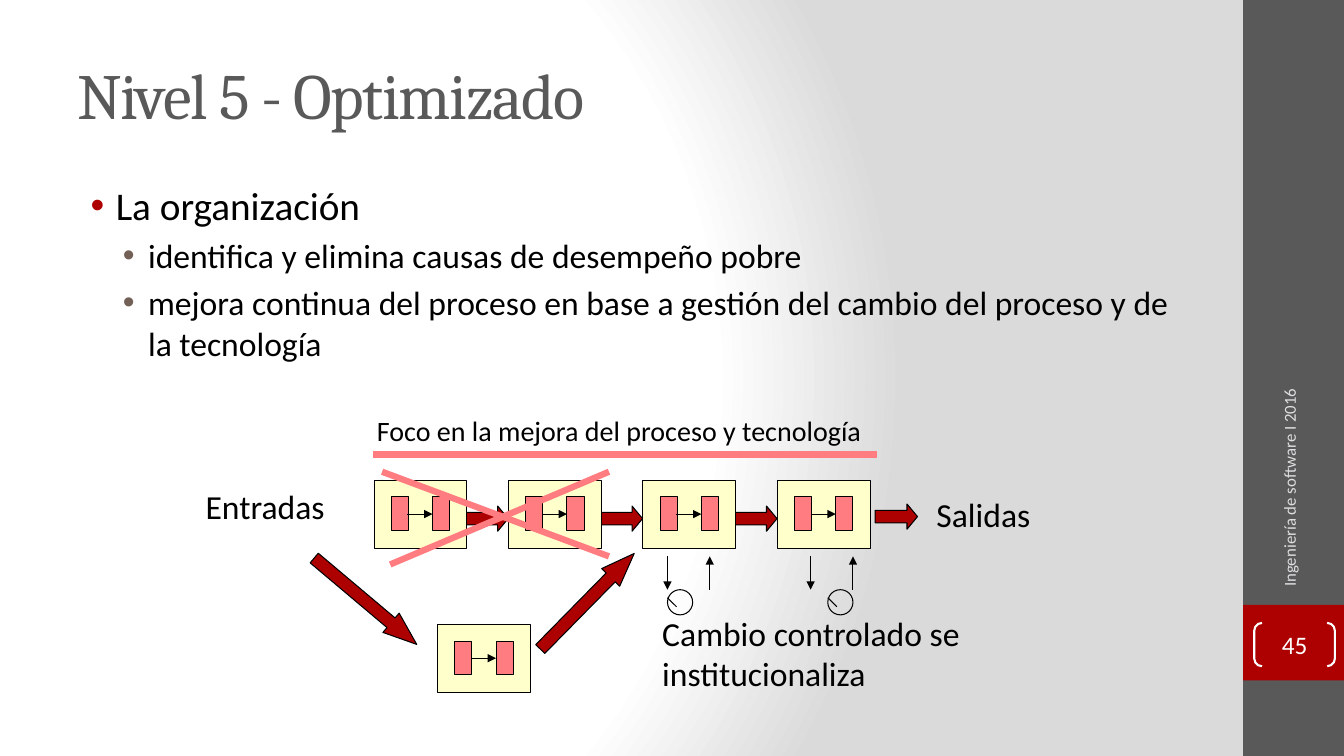
from dataclasses import dataclass

from lxml import etree
from pptx import Presentation
from pptx.dml.color import RGBColor
from pptx.enum.shapes import MSO_CONNECTOR, MSO_SHAPE
from pptx.enum.text import MSO_ANCHOR, PP_ALIGN
from pptx.oxml import parse_xml
from pptx.oxml.ns import nsdecls, qn
from pptx.util import Inches, Pt

RECTANGLE = MSO_SHAPE.RECTANGLE
RIGHT_ARROW = MSO_SHAPE.RIGHT_ARROW
OVAL = MSO_SHAPE.OVAL
BRACKETS = MSO_SHAPE.DOUBLE_BRACKET
STRAIGHT = MSO_CONNECTOR.STRAIGHT
TOP, MIDDLE = MSO_ANCHOR.TOP, MSO_ANCHOR.MIDDLE
LEFT, CENTER = PP_ALIGN.LEFT, PP_ALIGN.CENTER


@dataclass(frozen=True)
class Theme:
    heading_font: str = "Cambria"
    body_font: str = "Calibri"
    white: str = "FFFFFF"
    shade: str = "DADADA"
    black: str = "000000"
    gray: str = "595959"
    red: str = "AD0101"
    brown: str = "726056"
    pink: str = "FF7C80"
    cream: str = "FFFFCC"
    footer: str = "DEDEE0"
    title_size: int = 46
    body_size: int = 28
    label_size: int = 24
    focus_size: int = 20
    number_size: int = 18
    footer_size: int = 12
    thin: float = 0.75
    bracket: float = 1.5
    thick: float = 4.5


def write_text(paragraph, text, *, size, color, font, align=LEFT, before=0,
               bullet_color=None, indent=0, spacing=0):
    if bullet_color:
        properties = paragraph._p.get_or_add_pPr()
        properties.set("marL", str(Inches(indent)))
        properties.set("indent", str(Inches(-0.25)))
        bullet = etree.SubElement(properties, qn("a:buClr"))
        etree.SubElement(bullet, qn("a:srgbClr"), val=bullet_color)
        etree.SubElement(properties, qn("a:buFont"), typeface="Arial")
        etree.SubElement(properties, qn("a:buChar"), char="•")
    paragraph.alignment = align
    if before:
        paragraph.space_before = Pt(before)
    run = paragraph.add_run()
    run.text = text
    run.font.size = Pt(size)
    run.font.name = font
    run.font.color.rgb = RGBColor.from_string(color)
    if spacing:
        run._r.get_or_add_rPr().set("spc", str(spacing * 100))


class SlideBuilder:
    def __init__(self, slide, theme):
        self.slide = slide
        self.theme = theme

    def background(self):
        """Fill the slide with a circular gradient centred on the left side."""
        theme = self.theme
        stops = "".join(
            f'<a:gs pos="{position * 1000}"><a:srgbClr val="{color}"/></a:gs>'
            for position, color in ((0, theme.white), (75, theme.white), (100, theme.shade)))
        self.slide._element.cSld.insert(0, parse_xml(
            f'<p:bg {nsdecls("p", "a")}><p:bgPr><a:gradFill rotWithShape="1">'
            f'<a:gsLst>{stops}</a:gsLst><a:path path="circle">'
            '<a:fillToRect l="20000" t="50000" r="100000" b="50000"/></a:path>'
            '</a:gradFill><a:effectLst/></p:bgPr></p:bg>'))

    def group(self):
        return self.slide.shapes.add_group_shape().shapes

    def shape(self, kind, left, top, width, height, *, fill=None, line=None,
              weight=None, adjustments=(), rotation=0, shapes=None):
        shapes = shapes or self.slide.shapes
        shape = shapes.add_shape(kind, Inches(left), Inches(top), Inches(width), Inches(height))
        shape.shadow.inherit = False
        shape.rotation = rotation
        for index, value in enumerate(adjustments):
            shape.adjustments[index] = value
        if fill:
            shape.fill.solid()
            shape.fill.fore_color.rgb = RGBColor.from_string(fill)
        else:
            shape.fill.background()
        if line:
            shape.line.color.rgb = RGBColor.from_string(line)
            shape.line.width = Pt(weight or self.theme.thin)
        else:
            shape.line.fill.background()
        return shape

    def line(self, start, end, *, color=None, weight=None, arrow=False, shapes=None):
        shapes = shapes or self.slide.shapes
        points = [Inches(value) for value in (*start, *end)]
        connector = shapes.add_connector(STRAIGHT, *points)
        connector.line.color.rgb = RGBColor.from_string(color or self.theme.black)
        connector.line.width = Pt(weight or self.theme.thin)
        if arrow:
            etree.SubElement(connector.line._get_or_add_ln(), qn("a:tailEnd"), type="triangle")
        etree.SubElement(connector._element.spPr, qn("a:effectLst"))

    def text(self, left, top, width, height, paragraphs, *, anchor=TOP, rotation=0):
        """Add a text box from (text, format) pairs."""
        box = self.slide.shapes.add_textbox(
            Inches(left), Inches(top), Inches(width), Inches(height))
        box.rotation = rotation
        frame = box.text_frame
        frame.word_wrap = True
        frame.vertical_anchor = anchor
        for index, (text, options) in enumerate(paragraphs):
            paragraph = frame.add_paragraph() if index else frame.paragraphs[0]
            write_text(paragraph, text, **options)

    def label(self, left, top, width, height, text, size=None):
        options = dict(size=size or self.theme.label_size, color=self.theme.black,
                       font=self.theme.body_font)
        self.text(left, top, width, height, [(text, options)])

    def block_arrow(self, left, top, width=0.42, head=0.417, rotation=0):
        self.shape(RIGHT_ARROW, left, top, width, 0.25, fill=self.theme.red,
                   line=self.theme.black, adjustments=(0.5, head), rotation=rotation)

    def process(self, left, top):
        """Draw one process: a box with two linked steps."""
        theme, shapes = self.theme, self.group()
        self.shape(RECTANGLE, left, top, 0.92, 0.67, fill=theme.cream,
                   line=theme.black, shapes=shapes)
        for offset in (0.58, 0.17):
            self.shape(RECTANGLE, left + offset, top + 0.16, 0.17, 0.33, fill=theme.pink,
                       line=theme.black, shapes=shapes)
        self.line((left + 0.33, top + 0.33), (left + 0.58, top + 0.33),
                  arrow=True, shapes=shapes)

    def dial(self, left, top):
        shapes = self.group()
        self.shape(OVAL, left, top, 0.25, 0.25, line=self.theme.black, shapes=shapes)
        self.line((left, top + 0.08), (left + 0.09, top + 0.17), shapes=shapes)

    def feedback(self, left, top, bottom):
        """Draw a down arrow and an up arrow side by side."""
        shapes = self.group()
        self.line((left, top), (left, bottom), arrow=True, shapes=shapes)
        self.line((left + 0.42, bottom), (left + 0.42, top), arrow=True, shapes=shapes)


def main():
    theme = Theme()
    presentation = Presentation()
    presentation.slide_width, presentation.slide_height = Inches(13.33), Inches(7.5)
    builder = SlideBuilder(presentation.slides.add_slide(presentation.slide_layouts[6]), theme)

    builder.background()
    builder.shape(RECTANGLE, 12.33, 0, 1, 7.5, fill=theme.gray)
    builder.shape(RECTANGLE, 12.33, 6, 1, 0.75, fill=theme.red)

    title = dict(size=theme.title_size, color=theme.gray, font=theme.heading_font, spacing=-1)
    builder.text(0.67, 0.3, 11.11, 1.25, [("Nivel 5 - Optimizado", title)], anchor=MIDDLE)
    body = dict(color=theme.black, font=theme.body_font)
    topic = dict(body, size=theme.body_size, bullet_color=theme.red, indent=0.38)
    detail = dict(body, size=theme.label_size, bullet_color=theme.brown, indent=0.7,
                  before=theme.label_size * 0.2)
    builder.text(0.67, 1.75, 11.11, 5.25, [
        ("La organización", topic),
        ("identifica y elimina causas de desempeño pobre", detail),
        ("mejora continua del proceso en base a gestión del cambio del proceso "
         "y de la tecnología", detail)])

    builder.label(1.94, 4.77, 1.58, 0.5, "Entradas")
    builder.label(9.19, 4.85, 1.83, 0.5, "Salidas")
    builder.label(6.47, 6.03, 5.2, 0.91, "Cambio controlado se institucionaliza")
    builder.label(3.64, 4.05, 6, 0.43, "Foco en la mejora del proceso y tecnología",
                  theme.focus_size)

    pitch = 4 / 3
    for index in range(3):
        builder.block_arrow(4.62 + index * pitch, 5.02)
    builder.block_arrow(8.68, 5)
    for index in range(4):
        builder.process(3.71 + index * pitch, 4.77)
    builder.process(4.34, 6.2)
    for left, rotation in ((2.96, 40.1), (5.16, 314.5)):
        builder.block_arrow(left, 5.84, width=1.33, head=1.333, rotation=rotation)

    strokes = (((3.79, 4.68), (6.04, 5.52)), ((3.87, 5.6), (6.04, 4.68)),
               ((3.7, 4.51), (8.7, 4.51)))
    for start, end in strokes:
        builder.line(start, end, color=theme.pink, weight=theme.thick)
    for dial_left, feedback_left in ((6.62, 6.62), (8.21, 8.04)):
        builder.dial(dial_left, 5.85)
        builder.feedback(feedback_left, 5.52, 5.85)

    footer = dict(size=theme.footer_size, color=theme.footer, font=theme.body_font)
    builder.text(11.49, 4.36, 2.59, 0.53, [("Ingeniería de software I 2016", footer)],
                 anchor=MIDDLE, rotation=270)
    number = builder.shape(BRACKETS, 12.44, 6.18, 0.8, 0.43, line=theme.white,
                           weight=theme.bracket, adjustments=(0.179,))
    frame = number.text_frame
    frame.margin_left = frame.margin_right = frame.margin_top = frame.margin_bottom = 0
    frame.vertical_anchor = MIDDLE
    write_text(frame.paragraphs[0], "45", size=theme.number_size, color=theme.white,
               font=theme.body_font, align=CENTER)

    presentation.save("out.pptx")


if __name__ == "__main__":
    main()
